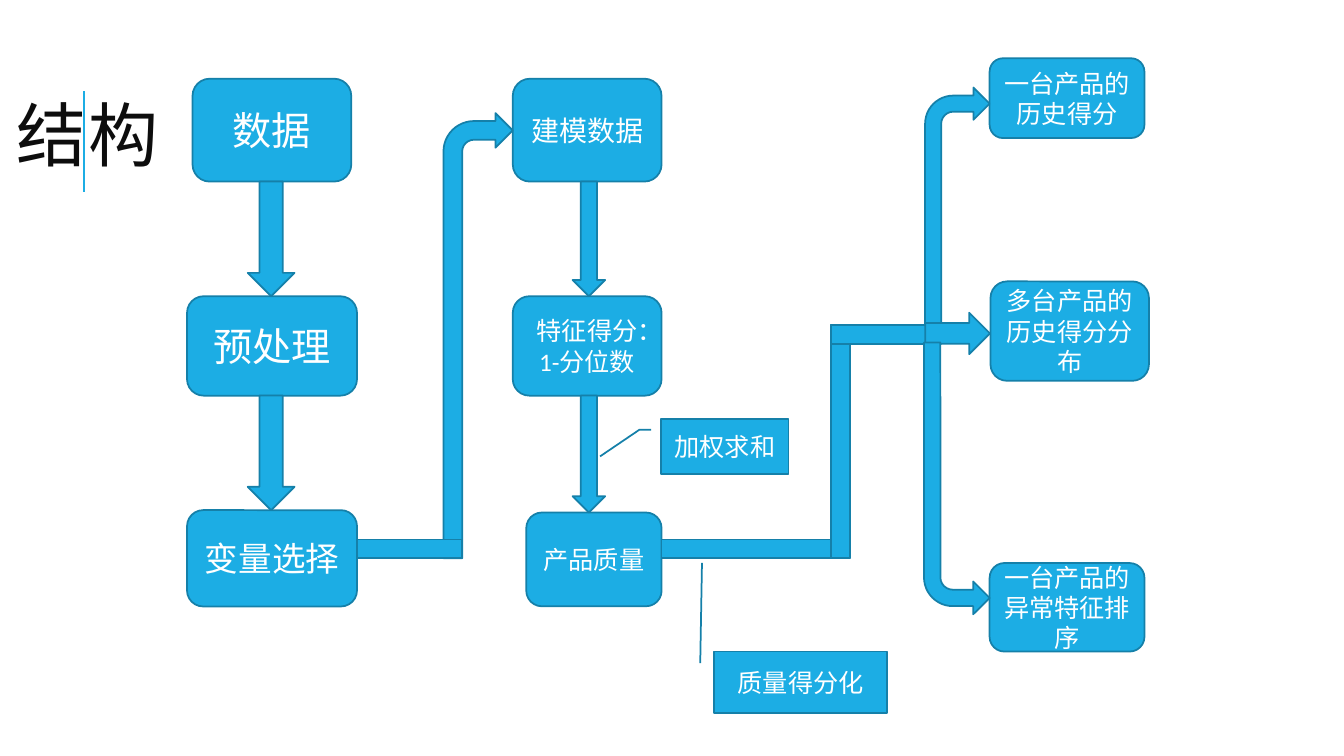
from dataclasses import dataclass
from lxml.etree import SubElement
from pptx import Presentation
from pptx.dml.color import RGBColor as RGB
from pptx.enum.shapes import MSO_CONNECTOR as Wire, MSO_SHAPE as Kind
from pptx.enum.text import MSO_ANCHOR as Anchor, PP_ALIGN as Align
from pptx.oxml.ns import qn
from pptx.util import Pt


@dataclass(frozen=True)
class Theme:
    """Colours, fonts and sizes of the slide."""
    blue: RGB = RGB(0x1C, 0xAD, 0xE4)
    edge: RGB = RGB(0x15, 0x80, 0xA9)
    ink: RGB = RGB(0x0D, 0x0D, 0x0D)
    white: RGB = RGB(0xFF, 0xFF, 0xFF)
    head: str = "Cabin"
    body: str = "Calibri"
    title: int = 50
    large: int = 28
    mid: int = 24
    norm: int = 20
    small: int = 18
    rule: float = 1.5
    rim: float = 1.25


T = Theme()


def write(shape, text, size, font, color, align):
    """Put one run of text in a shape, centred vertically."""
    frame = shape.text_frame
    frame.word_wrap = True
    frame.vertical_anchor = Anchor.MIDDLE
    para = frame.paragraphs[0]
    para.alignment = align
    run = para.add_run()
    run.text = text
    run.font.size = Pt(size)
    run.font.name = font
    run.font.color.rgb = color
    return para, run


def block(slide, kind, area, adj=(), flip=False):
    """Draw a blue preset shape."""
    shape = slide.shapes.add_shape(kind, *map(Pt, area))
    shape.shadow.inherit = False
    shape.fill.solid()
    shape.fill.fore_color.rgb = T.blue
    shape.line.color.rgb = T.edge
    shape.line.width = Pt(T.rim)
    for i, value in enumerate(adj):
        shape.adjustments[i] = value
    if flip:
        shape._element.spPr.find(qn("a:xfrm")).set("flipV", "1")
    return shape


def label(slide, kind, area, text, size, adj=()):
    """Draw a blue shape with white centred text."""
    shape = block(slide, kind, area, adj)
    write(shape, text, size, T.body, T.white, Align.CENTER)


def title(slide, text):
    """Draw the heading and the upright rule behind it."""
    rule = slide.shapes.add_connector(Wire.STRAIGHT, Pt(60), Pt(136.8), Pt(60), Pt(64.8))
    rule.line.color.rgb = T.blue
    rule.line.width = Pt(T.rule)
    SubElement(rule._element.spPr, qn("a:effectLst"))
    box = slide.shapes.add_textbox(Pt(5), Pt(49), Pt(828), Pt(104.4))
    para, run = write(box, text, T.title, T.head, T.ink, Align.LEFT)
    para.line_spacing = 0.8
    run.font._element.set("spc", "100")


def steps(slide):
    """Draw the rounded boxes of the three columns."""
    for area, text, size in (
        ((137.5, 56.2, 113.4, 73.5), "数据", T.large),
        ((133.6, 211.6, 121.4, 71), "预处理", T.large),
        ((133.6, 364.4, 121.4, 68.8), "变量选择", T.mid),
        ((366.3, 56.2, 106.3, 73.5), "建模数据", T.norm),
        ((366.3, 211.6, 106.3, 71), "特征得分：1-分位数", T.small),
        ((375.9, 366.1, 96.7, 67), "产品质量", T.small),
        ((706.9, 41.6, 110.6, 57), "一台产品的历史得分", T.small),
        ((707.5, 201, 113.2, 71), "多台产品的历史得分分布", T.small),
        ((706.9, 402.2, 110.6, 63.2), "一台产品的异常特征排序", T.small),
    ):
        label(slide, Kind.ROUNDED_RECTANGLE, area, text, size)


def flows(slide):
    """Draw the arrows and bars that join the boxes."""
    for left, wide, ends in ((177, 33.4, (211.6, 364.4)), (409, 23.3, (211.6, 366.1))):
        for top, end in zip((129.7, 282.6), ends):
            block(slide, Kind.DOWN_ARROW, (left, top, wide, end - top))
    block(slide, Kind.BENT_ARROW, (316.8, 80.8, 49.5, 318), (0.27, 0.25, 0.25, 0.44))
    for area in (
        (255, 385.4, 75, 13.4),
        (472.6, 385.4, 134.4, 13.4),
        (593.8, 232, 13.2, 166.8),
        (593.8, 232, 78.5, 14),
    ):
        block(slide, Kind.RECTANGLE, area)
    block(slide, Kind.BENT_ARROW, (660.8, 62.5, 46.1, 170))
    block(slide, Kind.RIGHT_ARROW, (660.8, 223.4, 46.3, 29.6))
    block(slide, Kind.BENT_ARROW, (660, 244.6, 46.9, 194.2), flip=True)


def notes(slide):
    """Draw the two callouts with their leaders."""
    label(slide, Kind.LINE_CALLOUT_2, (472.3, 299.5, 91, 39), "加权求和", T.small,
          (0.19, -0.08, 0.19, -0.17, 0.68, -0.48))
    label(slide, Kind.LINE_CALLOUT_1, (510.1, 465.4, 123.7, 44), "质量得分化", T.small,
          (0.19, -0.08, -1.44, -0.07))


def main():
    """Build and save the slide."""
    deck = Presentation()
    deck.slide_width, deck.slide_height = Pt(960), Pt(540)
    slide = deck.slides.add_slide(deck.slide_layouts[6])
    title(slide, "结构")
    steps(slide)
    flows(slide)
    notes(slide)
    deck.save("out.pptx")


main()
